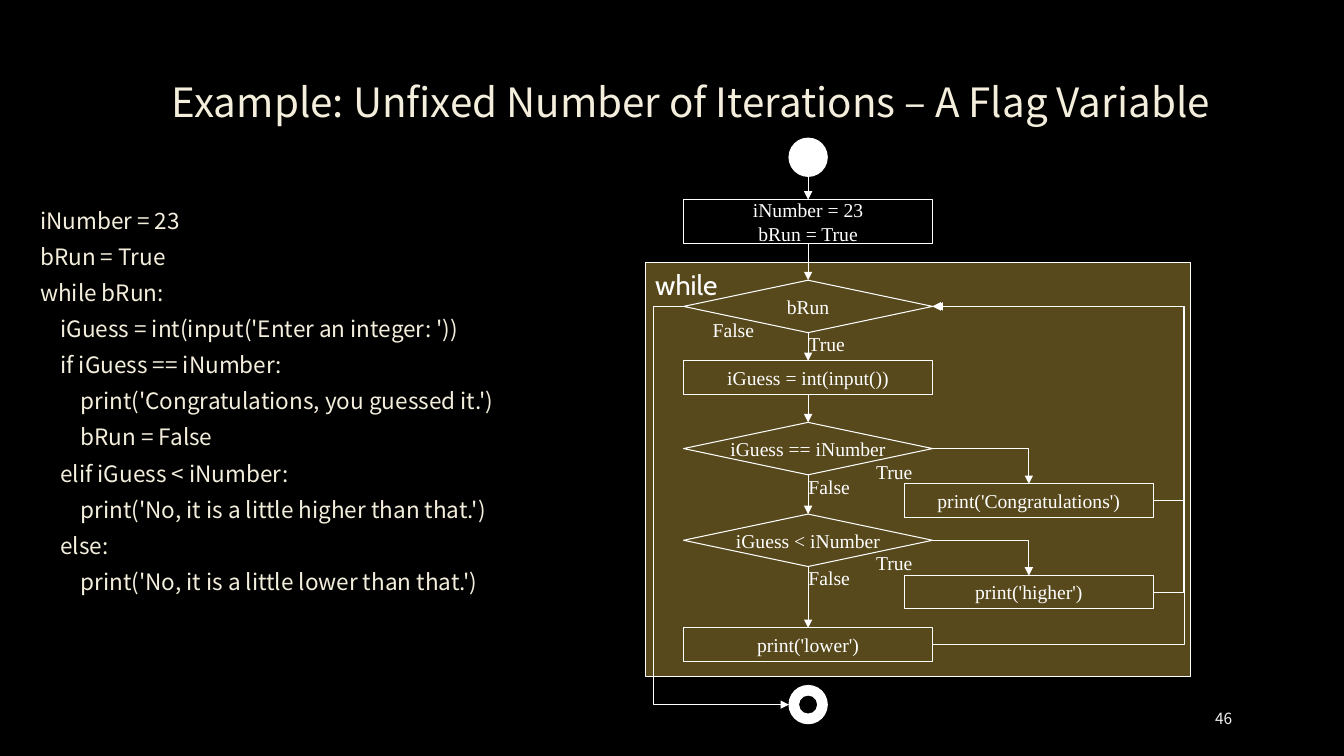
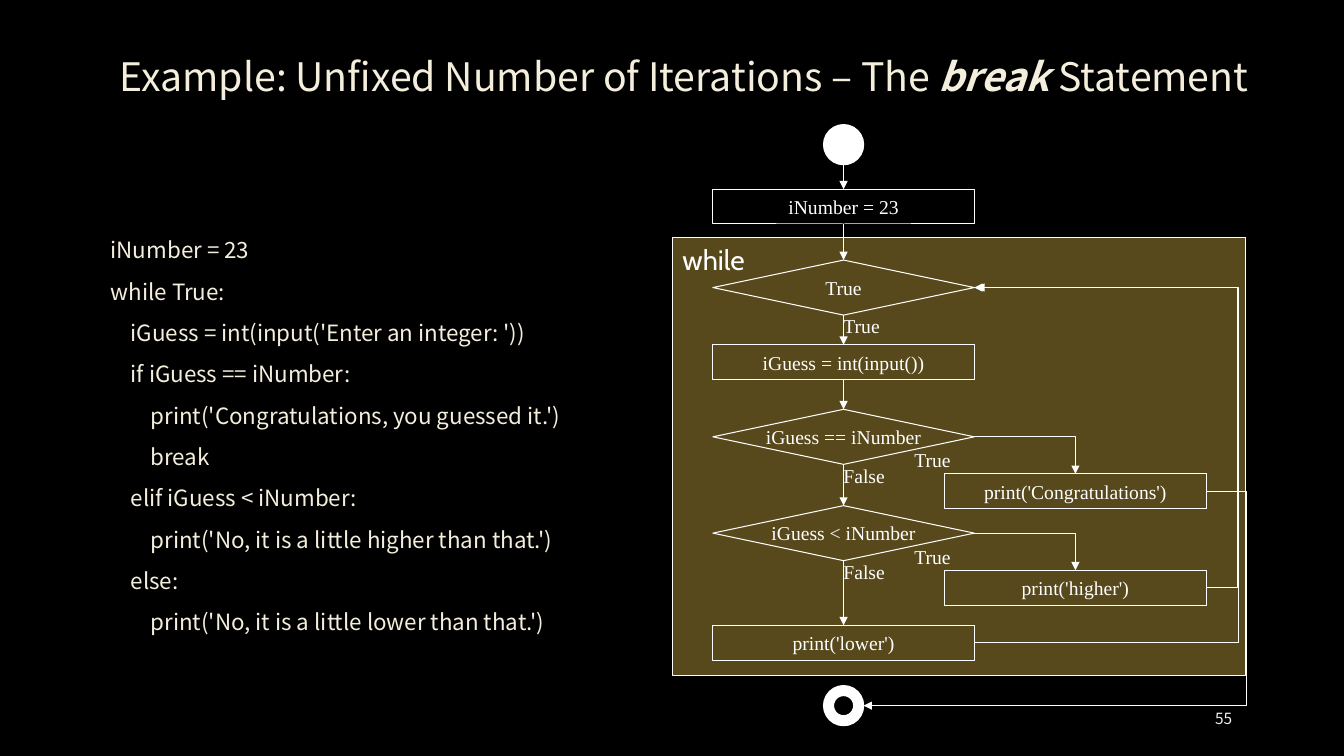
from pptx import Presentation
from pptx.dml.color import RGBColor
from pptx.enum.shapes import MSO_CONNECTOR, MSO_SHAPE
from pptx.enum.text import MSO_ANCHOR, PP_ALIGN
from pptx.oxml.ns import qn
from pptx.util import Inches, Pt
from lxml import etree

BLACK, WHITE, CREAM, PALE, OLIVE = "000000", "FFFFFF", "F4EEDC", "F2F2F2", "58491C"
SANS, SERIF, ROUND = "Noto Sans CJK KR", "Times New Roman", "Cabin"
TOP, LEFT, BOTTOM, RIGHT = range(4)
WIDE, DEEP, TALL, DOT = 2.47, 0.52, 0.33, 0.38
CIRCLES = (MSO_SHAPE.OVAL, MSO_SHAPE.DONUT)


def color(code):
    return RGBColor.from_string(code)


def style(run, size, face, code):
    run.font.size = Pt(size)
    run.font.name = face
    run.font.color.rgb = color(code)


def write(frame, text, size, face, code, align=PP_ALIGN.LEFT, anchor=MSO_ANCHOR.TOP):
    frame.text = text
    frame.vertical_anchor = anchor
    for para in frame.paragraphs:
        para.alignment = align
        for run in para.runs:
            style(run, size, face, code)


def text_box(slide, box, *words, **look):
    frame = slide.shapes.add_textbox(*map(Inches, box)).text_frame
    frame.word_wrap = True
    write(frame, *words, **look)
    return frame


def title(slide, box, parts, size):
    """Place a centred title; parts are (text, strong) pairs."""
    frame = text_box(slide, box, "", size, SANS, CREAM, anchor=MSO_ANCHOR.MIDDLE)
    para = frame.paragraphs[0]
    para.alignment = PP_ALIGN.CENTER
    para.line_spacing = 0.9
    for text, strong in parts:
        run = para.add_run()
        run.text = text
        style(run, size, SANS, CREAM)
        run.font.bold = run.font.italic = strong


def code_block(slide, box, code, size, spacing):
    frame = text_box(slide, box, code, size, SANS, CREAM)
    for place, para in enumerate(frame.paragraphs):
        para.line_spacing = spacing
        para.space_before = Pt(2.4 if place else 0)
        para.space_after = Pt(6)


def number(slide, text):
    text_box(slide, (11.5, 6.93, 0.82, 0.4), text, 11, SANS, PALE,
             align=PP_ALIGN.RIGHT, anchor=MSO_ANCHOR.MIDDLE)


def point(shape, side):
    """Return the middle of one side of a shape."""
    across = {LEFT: 0, RIGHT: shape.width}.get(side, shape.width // 2)
    down = {TOP: 0, BOTTOM: shape.height}.get(side, shape.height // 2)
    return shape.left + across, shape.top + down


def arrow(slide, source, out, target, into, lane=None, corner=False):
    """Join two shapes, straight, with one corner, or round a vertical lane."""
    start, end = point(source, out), point(target, into)
    bent = corner or lane is not None
    kind = MSO_CONNECTOR.ELBOW if bent else MSO_CONNECTOR.STRAIGHT
    link = slide.shapes.add_connector(kind, *start, *end)
    link.begin_connect(source, out)
    link.end_connect(target, into)
    node = link._element
    for tag, shape, side in (("a:stCxn", source, out), ("a:endCxn", target, into)):
        if shape.auto_shape_type in CIRCLES:  # circles have eight joints
            node.find(".//" + qn(tag)).set("idx", str(2 * side))
    geom = node.find(".//" + qn("a:prstGeom"))
    if corner:
        geom.set("prst", "bentConnector2")
    elif bent:
        if abs(end[0] - start[0]) < Inches(0.01):  # a lane needs some width
            end = start[0] + Inches(0.02), end[1]
            link.end_x = end[0]
        share = (lane - start[0]) / (end[0] - start[0])
        guides = geom.find(qn("a:avLst"))
        if guides is None:
            guides = etree.SubElement(geom, qn("a:avLst"))
        etree.SubElement(guides, qn("a:gd"), name="adj1",
                         fmla=f"val {round(share * 100000)}")
    link.line.color.rgb = color(WHITE)
    link.line.width = Pt(0.75)
    etree.SubElement(link.line._get_or_add_ln(), qn("a:tailEnd"), type="triangle")
    etree.SubElement(node.spPr, qn("a:effectLst"))


def flow(slide, left, top, unit, setup, test, head, exits):
    """Draw the flow chart; left and top are those of the loop test.

    head gives start, setup height and frame offsets; exits is "test" or "hit".
    """
    rise, block, lift = head

    def place(x, y, wide, tall):
        return left + x * unit, top + y * unit, wide * unit, tall * unit

    def shape(kind, box, fill=None):
        item = slide.shapes.add_shape(kind, *map(Inches, place(*box)))
        item.shadow.inherit = False
        if fill:
            item.fill.solid()
            item.fill.fore_color.rgb = color(fill)
        else:
            item.fill.background()
        item.line.color.rgb = color(WHITE)
        item.line.width = Pt(0.75)
        return item

    def step(kind, x, y, tall, text):
        item = shape(kind, (x, y, WIDE, tall))
        frame = item.text_frame
        frame.word_wrap = False
        frame.margin_left = frame.margin_right = 0
        frame.margin_top = frame.margin_bottom = 0
        write(frame, text, 14, SERIF, WHITE, PP_ALIGN.CENTER, MSO_ANCHOR.MIDDLE)
        return item

    def task(x, y, text, tall=TALL):
        return step(MSO_SHAPE.RECTANGLE, x, y, tall, text)

    def choice(y, text):
        return step(MSO_SHAPE.DIAMOND, 0, y, DEEP, text)

    def label(x, y, text):
        text_box(slide, place(x, y, 0.95, 0.34), text, 14, SERIF, WHITE)

    def lane(x):
        return Inches(left + x * unit)

    frame = shape(MSO_SHAPE.RECTANGLE, (-0.38, -lift, 5.41, 3.93 + lift), OLIVE)
    frame.text_frame.word_wrap = False
    write(frame.text_frame, "while", 20, ROUND, WHITE)

    middle = (WIDE - DOT) / 2
    begin = shape(MSO_SHAPE.OVAL, (middle, -rise, DOT, DOT), WHITE)
    finish = shape(MSO_SHAPE.DONUT, (middle, 4.02, DOT, DOT), WHITE)
    first = task(0, 0.23 + DOT - rise, setup, block)
    loop = choice(0, test)
    ask = task(0, 0.8, "iGuess = int(input())")
    same, less = 1.41, 2.32
    equal = choice(same, "iGuess == iNumber")
    below = choice(less, "iGuess < iNumber")
    hit = task(2.19, same + 0.61, "print('Congratulations')")
    higher = task(2.19, less + 0.61, "print('higher')")
    lower = task(0, 3.45, "print('lower')")

    spine = (begin, first, loop, ask, equal, below, lower)
    for upper, under in zip(spine, spine[1:]):
        arrow(slide, upper, BOTTOM, under, TOP)
    for source, target in ((equal, hit), (below, higher)):
        arrow(slide, source, RIGHT, target, TOP, corner=True)
    back = [higher, lower]
    if exits == "test":
        back.append(hit)
        arrow(slide, loop, LEFT, finish, LEFT, lane(-0.3))
        label(0.19, 0.32, "False")
    else:
        arrow(slide, hit, RIGHT, finish, RIGHT, lane(5.04))
    for source in back:
        arrow(slide, source, RIGHT, loop, RIGHT, lane(4.96))

    label(1.14, 0.46, "True")
    for y in (same, less):
        label(1.81, y + 0.32, "True")
        label(1.14, y + 0.47, "False")


def new_slide(deck):
    slide = deck.slides.add_slide(deck.slide_layouts[6])
    slide.background.fill.solid()
    slide.background.fill.fore_color.rgb = color(BLACK)
    return slide


def listing(opening, test, leave):
    """Return the guessing program with its own opening, test and way out."""
    return f"""{opening}
while {test}:
    iGuess = int(input('Enter an integer: '))
    if iGuess == iNumber:
        print('Congratulations, you guessed it.')
        {leave}
    elif iGuess < iNumber:
        print('No, it is a little higher than that.')
    else:
        print('No, it is a little lower than that.')"""


def flag_slide(deck):
    slide = new_slide(deck)
    setup = "iNumber = 23\nbRun = True"
    title(slide, (1, 0.67, 11.71, 0.74),
          [("Example: Unfixed Number of Iterations – A Flag Variable", False)], 28.8)
    code_block(slide, (0.3, 2.03, 5.53, 4.36),
               listing(setup, "bRun", "bRun = False"), 16.1, 0.9)
    number(slide, "46")
    flow(slide, 6.78, 2.78, 1, setup, "bRun", (1.41, 0.44, 0.18), "test")


def break_slide(deck):
    slide = new_slide(deck)
    setup = "iNumber = 23"
    title(slide, (0.62, 0.09, 12.33, 1.38),
          [("Example: Unfixed Number of Iterations – The ", False),
           ("break", True), (" Statement", False)], 28)
    code_block(slide, (1, 2.27, 5.77, 4.51),
               listing(setup, "True", "break"), 16, 1.1)
    number(slide, "55")
    flow(slide, 7.07, 2.58, 1.05, setup, "True", (1.28, TALL, 0.21), "hit")


def main():
    deck = Presentation()
    deck.slide_width, deck.slide_height = Inches(13.33), Inches(7.5)
    flag_slide(deck)
    break_slide(deck)
    deck.save("out.pptx")


if __name__ == "__main__":
    main()
